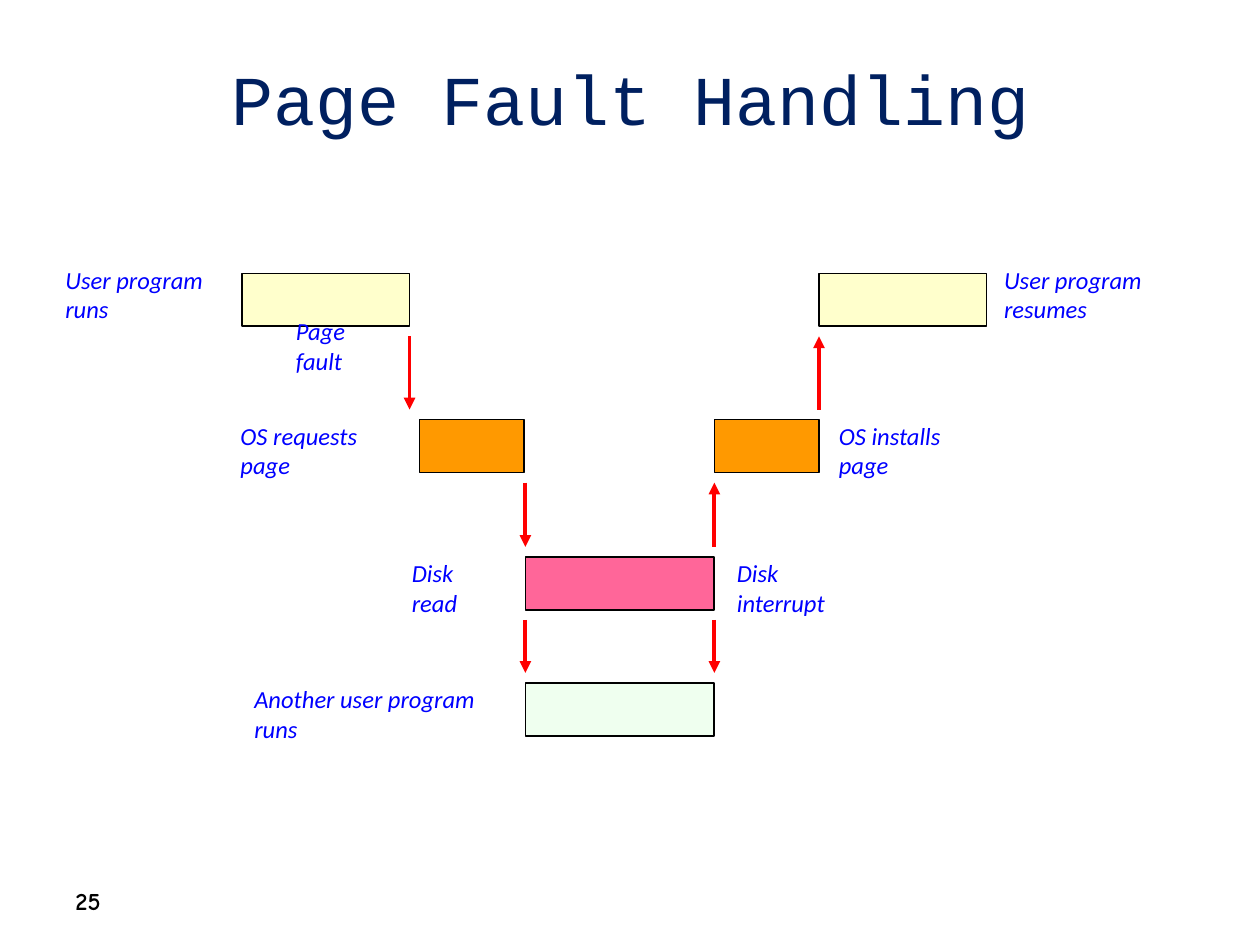
from pptx import Presentation
from pptx.dml.color import RGBColor
from pptx.enum.shapes import MSO_CONNECTOR as CONN, MSO_SHAPE as SHAPE
from pptx.enum.text import MSO_ANCHOR as ANCHOR, MSO_AUTO_SIZE as FIT, PP_ALIGN as ALIGN
from pptx.oxml.ns import qn
from pptx.util import Inches, Pt
from lxml.etree import SubElement


def rgb(value):
    """Turn a hex string into a colour."""
    return RGBColor.from_string(value)


class Diagram:
    """Holds the style and the current slide."""

    LABEL = dict(name="Calibri", size=Pt(14), italic=True)
    TITLE = dict(name="Courier New", size=Pt(40))
    NUMBER = dict(name="Comic Neue", size=Pt(14), bold=True)

    def __init__(self, slide):
        """Keep the slide to draw on."""
        self.s = slide

    def text(self, text, x, y, w, h, font, color, align=ALIGN.LEFT, fit=FIT.NONE):
        """Add a vertically centred text box."""
        sp = self.s.shapes.add_textbox(Inches(x), Inches(y), Inches(w), Inches(h))
        tf = sp.text_frame
        frame = dict(word_wrap=True, auto_size=fit, vertical_anchor=ANCHOR.MIDDLE)
        for key, value in frame.items():
            setattr(tf, key, value)
        p = tf.paragraphs[0]
        p.alignment = align
        r = p.add_run()
        r.text = text
        for key, value in font.items():
            setattr(r.font, key, value)
        r.font.color.rgb = rgb(color)

    def label(self, text, x, y, w):
        """Add a blue step label."""
        self.text(text, x, y, w, 0.33, self.LABEL, "0000FF", fit=FIT.SHAPE_TO_FIT_TEXT)

    def box(self, x, y, w, fill):
        """Add an outlined step box."""
        sp = self.s.shapes.add_shape(SHAPE.RECTANGLE, Inches(x), Inches(y),
                                     Inches(w), Inches(BOX_H))
        sp.shadow.inherit = False
        sp.fill.solid()
        sp.fill.fore_color.rgb = rgb(fill)
        sp.line.color.rgb = rgb("000000")
        sp.line.width = Pt(1)

    def arrow(self, x, start, end):
        """Add a vertical red arrow pointing at its end."""
        c = self.s.shapes.add_connector(CONN.STRAIGHT, Inches(x), Inches(start),
                                        Inches(x), Inches(end))
        c.line.color.rgb = rgb("FF0000")
        c.line.width = Pt(2.25)
        SubElement(c.line._get_or_add_ln(), qn("a:tailEnd"), type="triangle")
        SubElement(c._element.spPr, qn("a:effectLst"))


BOX_H = 0.42
GAP = 0.08
USER, SYSTEM, DISK, OTHER = ROWS = 2.17, 3.33, 4.42, 5.42
DISK_LEFT, DISK_RIGHT = 4.17, 5.67

BOXES = [
    (1.92, USER, 1.33, "FFFFCC"),
    (6.5, USER, 1.33, "FFFFCC"),
    (3.33, SYSTEM, 0.83, "FF9900"),
    (DISK_RIGHT, SYSTEM, 0.83, "FF9900"),
    (DISK_LEFT, DISK, 1.5, "FF6699"),
    (DISK_LEFT, OTHER, 1.5, "EFFFEF"),
]
LABELS = [
    ("User program runs", 0.42, USER, 1.59),
    ("Page fault", 2.25, USER + BOX_H - 0.01, 0.93),
    ("OS requests page", 1.81, SYSTEM + GAP, 1.49),
    ("Disk read", 3.17, DISK + GAP, 0.91),
    ("Another user program runs", 1.92, OTHER + GAP, 2.18),
    ("Disk interrupt", 5.75, DISK + GAP, 1.21),
    ("OS installs page", 6.56, SYSTEM + GAP, 1.37),
    ("User program resumes", 7.87, USER, 1.88),
]
# Left x, right x and whether the right arrow points up, for each row gap
ARROWS = [(3.25, 6.5, True), (DISK_LEFT, DISK_RIGHT, True), (DISK_LEFT, DISK_RIGHT, False)]

prs = Presentation()
prs.slide_width, prs.slide_height = Inches(10), Inches(7.5)
d = Diagram(prs.slides.add_slide(prs.slide_layouts[6]))

d.text("25", 0.5, 6.95, 2.33, 0.4, d.NUMBER, "000000")
d.text("Page Fault Handling", 0.5, 0.3, 9, 0.95, d.TITLE, "002060", ALIGN.CENTER)
for box in BOXES:
    d.box(*box)
for label in LABELS:
    d.label(*label)
for upper, lower, (left, right, rises) in zip(ROWS, ROWS[1:], ARROWS):
    top, bottom = upper + BOX_H + GAP, lower - GAP
    d.arrow(left, top, bottom)
    d.arrow(right, *((bottom, top) if rises else (top, bottom)))

prs.save("out.pptx")
